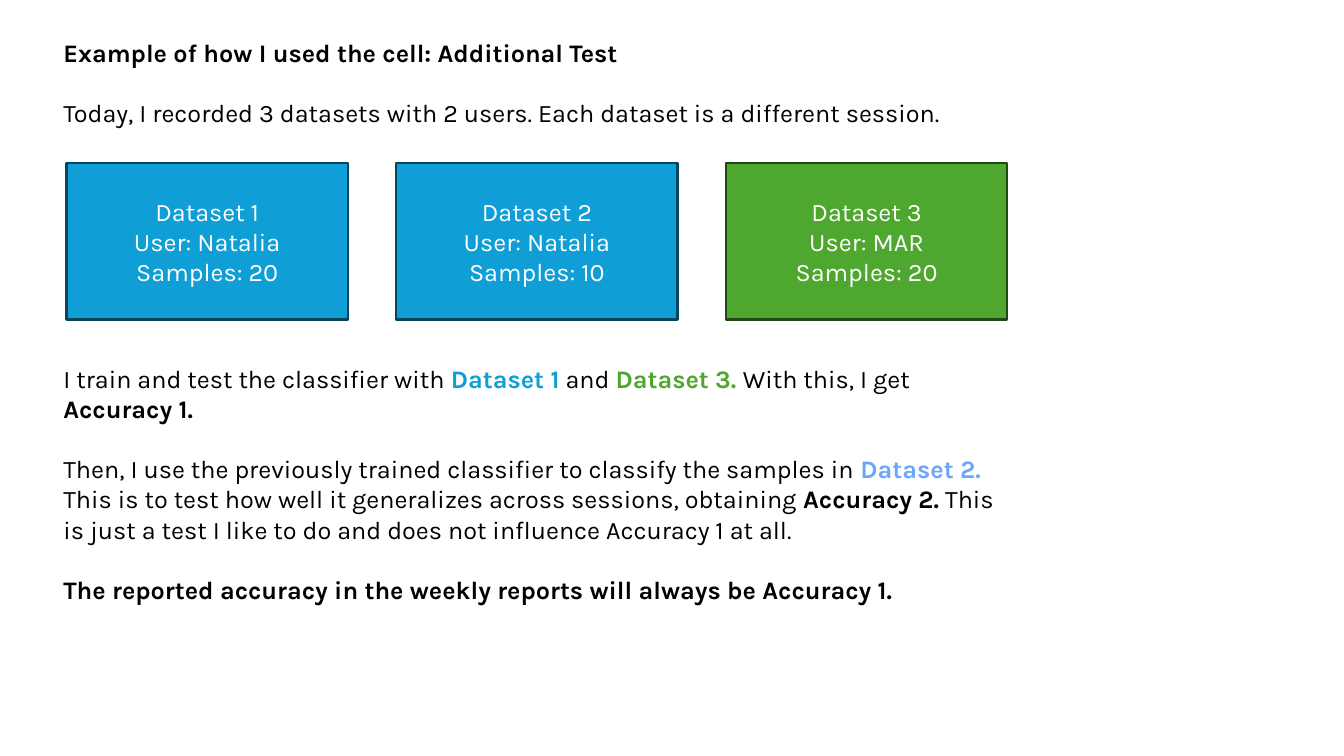
from pptx import Presentation
from pptx.dml.color import RGBColor as Rgb
from pptx.enum.shapes import MSO_SHAPE as Shape
from pptx.enum.text import MSO_ANCHOR as Anchor, MSO_AUTO_SIZE as Fit, PP_ALIGN as Align
from pptx.util import Inches, Pt

# Content: each paragraph is a list of (text, style) runs
INTRO = [
    [("Example of how I used the cell: Additional Test", "bold")],
    [("Today, I recorded 3 datasets with 2 users. Each dataset is a different session.", "plain")],
]
SETS = [
    ("Dataset 1", "Natalia", 20, "blue"),
    ("Dataset 2", "Natalia", 10, "blue"),
    ("Dataset 3", "MAR", 20, "green"),
]
METHOD = [
    [("I train and test the classifier with ", "plain"), ("Dataset 1", "blue"),
     (" and ", "plain"), ("Dataset 3. ", "green"),
     ("With this, I get ", "plain"), ("Accuracy 1.", "bold")],
    [("Then, I use the previously trained classifier to classify the samples in ", "plain"),
     ("Dataset 2. ", "sky"),
     ("This is to test how well it generalizes across sessions, obtaining ", "plain"),
     ("Accuracy 2.", "bold"),
     (" This is just a test I like to do and does not influence Accuracy 1 at all.", "plain")],
    [("The reported accuracy in the weekly reports will always be Accuracy 1.", "bold")],
]

# Look
COLORS = {"black": "000000", "white": "FFFFFF", "blue": "0F9ED5", "green": "4EA72E",
          "sky": "6AA6FE", "blue edge": "07455D", "green edge": "224914"}
STYLES = {"plain": ("black", False), "bold": ("black", True), "blue": ("blue", True),
          "green": ("green", True), "sky": ("sky", True), "label": ("white", False)}
FONT = {"name": "Karla", "size": Pt(18)}
GAP = Pt(21.6)

# Places in inches
TEXT_X, TEXT_W = 0.53, 9.58
BOX_X, BOX_Y, BOX_W, BOX_H, STEP = 0.66, 1.62, 2.79, 1.55, 3.27


def color(name):
    return Rgb.from_string(COLORS[name])


def write(frame, paras, **form):
    """Fill a text frame; form holds paragraph format values."""
    frame.word_wrap = True
    for i, runs in enumerate(paras):
        para = frame.add_paragraph() if i else frame.paragraphs[0]
        for key, value in form.items():
            if i or key != "space_before":
                setattr(para, key, value)
        for text, style in runs:
            run = para.add_run()
            run.text = text
            tint, bold = STYLES[style]
            for key, value in {**FONT, "bold": bold}.items():
                setattr(run.font, key, value)
            run.font.color.rgb = color(tint)


def add_text(slide, top, height, paras):
    box = slide.shapes.add_textbox(*map(Inches, (TEXT_X, top, TEXT_W, height)))
    write(box.text_frame, paras, space_before=GAP)
    box.text_frame.auto_size = Fit.SHAPE_TO_FIT_TEXT


def add_set(slide, i, name, user, count, tint):
    box = slide.shapes.add_shape(
        Shape.RECTANGLE, *map(Inches, (BOX_X + i * STEP, BOX_Y, BOX_W, BOX_H)))
    box.shadow.inherit = False
    box.fill.solid()
    box.fill.fore_color.rgb = color(tint)
    box.line.color.rgb = color(tint + " edge")
    box.line.width = Pt(1.5)
    box.text_frame.vertical_anchor = Anchor.MIDDLE
    lines = (name, f"User: {user}", f"Samples: {count}")
    write(box.text_frame, [[(line, "label")] for line in lines], alignment=Align.CENTER)


def main():
    deck = Presentation()
    deck.slide_width, deck.slide_height = Inches(13.33), Inches(7.5)
    slide = deck.slides.add_slide(deck.slide_layouts[6])

    # Title and setup
    add_text(slide, 0.32, 1.01, INTRO)

    # Dataset boxes
    for i, data in enumerate(SETS):
        add_set(slide, i, *data)

    # Method and result
    add_text(slide, 3.55, 2.22, METHOD)

    deck.save("out.pptx")


if __name__ == "__main__":
    main()
